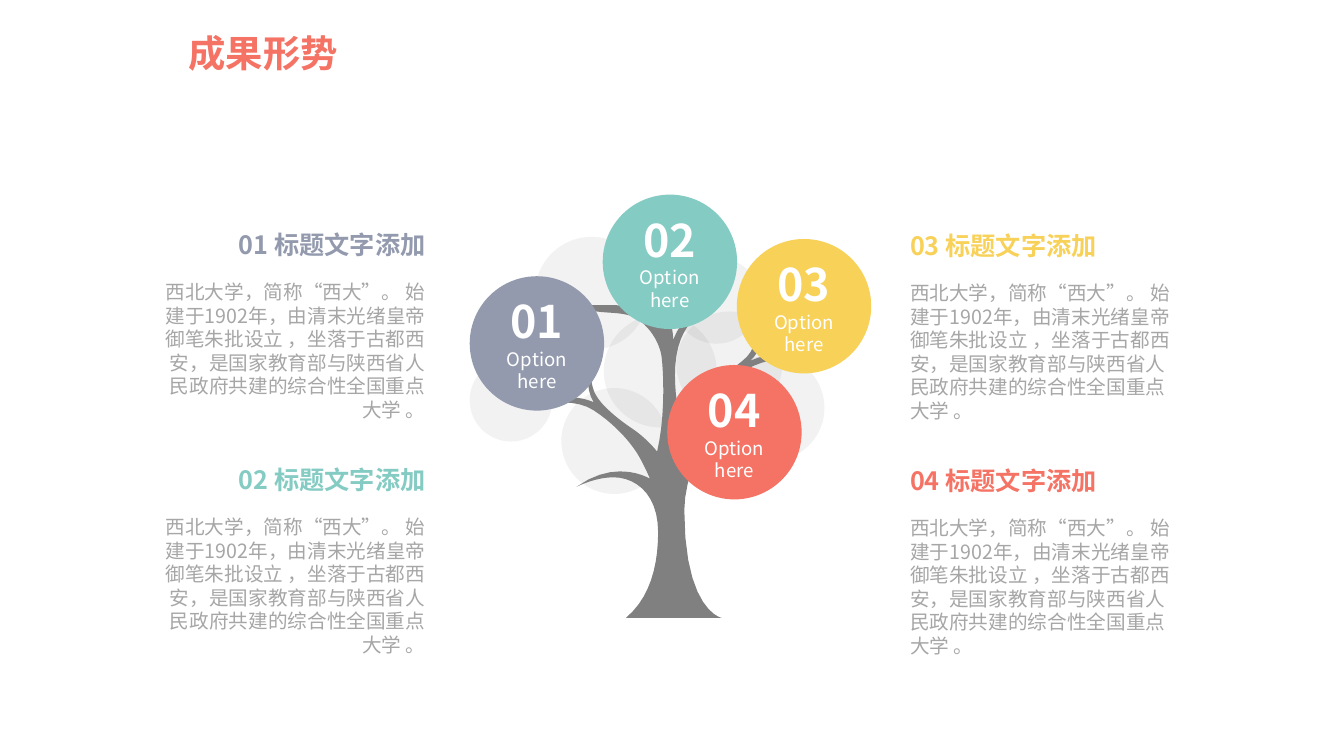
from lxml import etree
from pptx import Presentation
from pptx import util as u
from pptx.dml.color import RGBColor
from pptx.enum import shapes, text
from pptx.oxml.ns import qn

FONT = "Noto Sans CJK SC"
WHITE, GRAY, BODY_GRAY = "FFFFFF", "808080", "A6A6A6"
LAVENDER, TEAL, YELLOW, CORAL = "939AAE", "84CBC3", "F8D158", "F57365"
LEFT, CENTER, RIGHT = text.PP_ALIGN.LEFT, text.PP_ALIGN.CENTER, text.PP_ALIGN.RIGHT

INTRODUCTION = (
    "西北大学，简称“西大”。 始建于1902年，由清末光绪皇帝御笔朱批设立 ，"
    "坐落于古都西安，是国家教育部与陕西省人民政府共建的综合性全国重点大学 。"
)

FOLIAGE = [
    (46.8, 30.2, 80.6), (145.4, 44.6, 61.9), (95.8, 85.7, 80.6), (147.6, 83.5, 75.6),
    (177.8, 114.5, 75.6), (65.5, 138.2, 75.6), (0, 117.4, 59),
]
FRUITS = [
    ("01", LAVENDER, 0, 58.3), ("02", TEAL, 95, 0),
    ("03", YELLOW, 190.8, 31.7), ("04", CORAL, 141.1, 121.7),
]
FRUIT_SIZE = 96

TRUNK_GRID = 261
TRUNK_START = (89, 351)
TRUNK_CURVES = [
    ((194, 351), (184, 351), (184, 351)), ((184, 351), (147, 344), (147, 244)),
    ((147, 203), (176, 148), (208, 146)), ((239, 144), (258, 151), (258, 151)),
    ((258, 151), (218, 125), (170, 148)), ((170, 148), (183, 124), (203, 108)),
    ((224, 93), (254, 92), (261, 92)), ((261, 92), (238, 84), (212, 96)),
    ((212, 96), (232, 83), (219, 45)), ((219, 45), (223, 78), (209, 92)),
    ((195, 106), (153, 130), (142, 150)), ((142, 150), (133, 112), (141, 82)),
    ((148, 56), (168, 43), (173, 42)), ((173, 42), (147, 45), (136, 75)),
    ((136, 75), (136, 49), (119, 27)), ((103, 5), (84, 1), (78, 0)),
    ((78, 0), (118, 14), (120, 59)), ((120, 59), (109, 46), (91, 42)),
    ((73, 39), (56, 42), (47, 40)), ((38, 38), (27, 30), (26, 26)),
    ((26, 26), (31, 39), (50, 45)), ((67, 50), (86, 46), (100, 54)),
    ((113, 63), (121, 76), (124, 89)), ((126, 101), (129, 147), (120, 186)),
    ((120, 186), (110, 173), (95, 163)), ((80, 153), (65, 140), (60, 131)),
    ((54, 123), (53, 103), (54, 92)), ((54, 92), (46, 119), (57, 137)),
    ((57, 137), (31, 124), (0, 140)), ((0, 140), (36, 131), (57, 145)),
    ((80, 160), (95, 179), (101, 189)), ((107, 199), (113, 213), (113, 213)),
    ((113, 213), (80, 192), (40, 221)), ((40, 221), (63, 209), (83, 212)),
    ((103, 215), (121, 232), (121, 266)), ((121, 299), (113, 331), (89, 351)),
]


def color(hex_code):
    """Return the colour for a hex string."""
    return RGBColor.from_string(hex_code)


def write(paragraph, words, size, ink, bold=False, align=LEFT):
    """Put formatted words into a paragraph."""
    paragraph.alignment = align
    run = paragraph.add_run()
    run.text = words
    run.font.name, run.font.size, run.font.bold = FONT, u.Pt(size), bold
    run.font.color.rgb = color(ink)
    etree.SubElement(run.font._element, qn("a:ea"), typeface=FONT)


def paint(shape, hex_code, opacity=100):
    """Give a shape a flat fill with no line or shadow."""
    shape.shadow.inherit = False
    shape.line.fill.background()
    shape.fill.solid()
    shape.fill.fore_color.rgb = color(hex_code)
    if opacity < 100:
        tint = shape.fill._xPr.find(qn("a:solidFill"))[0]
        etree.SubElement(tint, qn("a:alpha"), val=str(opacity * 1000))


def add_circle(slide, left, top, size, hex_code, opacity=100):
    """Draw a filled circle and return it."""
    circle = slide.shapes.add_shape(
        shapes.MSO_SHAPE.OVAL, u.Pt(left), u.Pt(top), u.Pt(size), u.Pt(size))
    paint(circle, hex_code, opacity)
    return circle


def add_label(slide, left, top, width, height, words, **style):
    """Place a wrapping text box with one paragraph."""
    frame = slide.shapes.add_textbox(
        u.Pt(left), u.Pt(top), u.Pt(width), u.Pt(height)).text_frame
    frame.word_wrap = True
    write(frame.paragraphs[0], words, **style)


def curve_points(start, curves, steps=10):
    """Return points along a chain of cubic curves."""
    points = []
    for first, second, end in curves:
        for step in range(1, steps + 1):
            t = step / steps
            s = 1 - t
            points.append(tuple(
                s**3 * a + 3 * s * s * t * b + 3 * s * t * t * c + t**3 * d
                for a, b, c, d in zip(start, first, second, end)))
        start = end
    return points


def add_trunk(slide, left, top, width):
    """Draw the trunk and branches to the given width."""
    unit = width / TRUNK_GRID
    outline = [
        (u.Pt(left + x * unit), u.Pt(top + y * unit))
        for x, y in [TRUNK_START] + curve_points(TRUNK_START, TRUNK_CURVES)]
    builder = slide.shapes.build_freeform(*outline[0])
    builder.add_line_segments(outline[1:], close=True)
    paint(builder.convert_to_shape(), GRAY)


def add_fruit(slide, left, top, number, hex_code):
    """Draw a numbered option circle."""
    frame = add_circle(slide, left, top, FRUIT_SIZE, hex_code).text_frame
    frame.margin_left = frame.margin_right = frame.margin_top = frame.margin_bottom = 0
    frame.word_wrap = True
    frame.vertical_anchor = text.MSO_ANCHOR.MIDDLE
    write(frame.paragraphs[0], number, size=32, ink=WHITE, bold=True, align=CENTER)
    write(frame.add_paragraph(), "Option here", size=13.3, ink=WHITE, align=CENTER)


def add_tree(slide, left, top):
    """Draw the tree with its foliage, trunk and options."""
    for x, y, size in FOLIAGE:
        add_circle(slide, left + x, top + y, size, GRAY, opacity=10)
    add_trunk(slide, left + 47.5, top + 49.7, 187.9)
    for number, hex_code, x, y in FRUITS:
        add_fruit(slide, left + x, top + y, number, hex_code)


def add_entry(slide, left, top, number, hex_code, align):
    """Place a numbered heading above its paragraph."""
    heading_width, body_width = 280.8, 208.8
    indent = heading_width - body_width if align == RIGHT else 0
    add_label(slide, left, top, heading_width, 28.8, f"{number} 标题文字添加",
              size=18, ink=hex_code, bold=True, align=align)
    add_label(slide, left + indent, top + 36, body_width, 108.7, INTRODUCTION,
              size=14, ink=BODY_GRAY, align=align)


def main():
    """Build and save the slide."""
    deck = Presentation()
    deck.slide_width, deck.slide_height = u.Pt(960), u.Pt(540)
    slide = deck.slides.add_slide(deck.slide_layouts[6])
    add_tree(slide, 335.5, 139)
    add_label(slide, 127.4, 18, 147.6, 46, "成果形势", size=26.7, ink=CORAL, bold=True)
    for index, (number, hex_code, _, _) in enumerate(FRUITS):
        column, row = divmod(index, 2)
        left, top, align = [(30.2, 160.6, RIGHT), (643, 161.3, LEFT)][column]
        add_entry(slide, left, top + row * 167.8, number, hex_code, align)
    deck.save("out.pptx")


if __name__ == "__main__":
    main()
